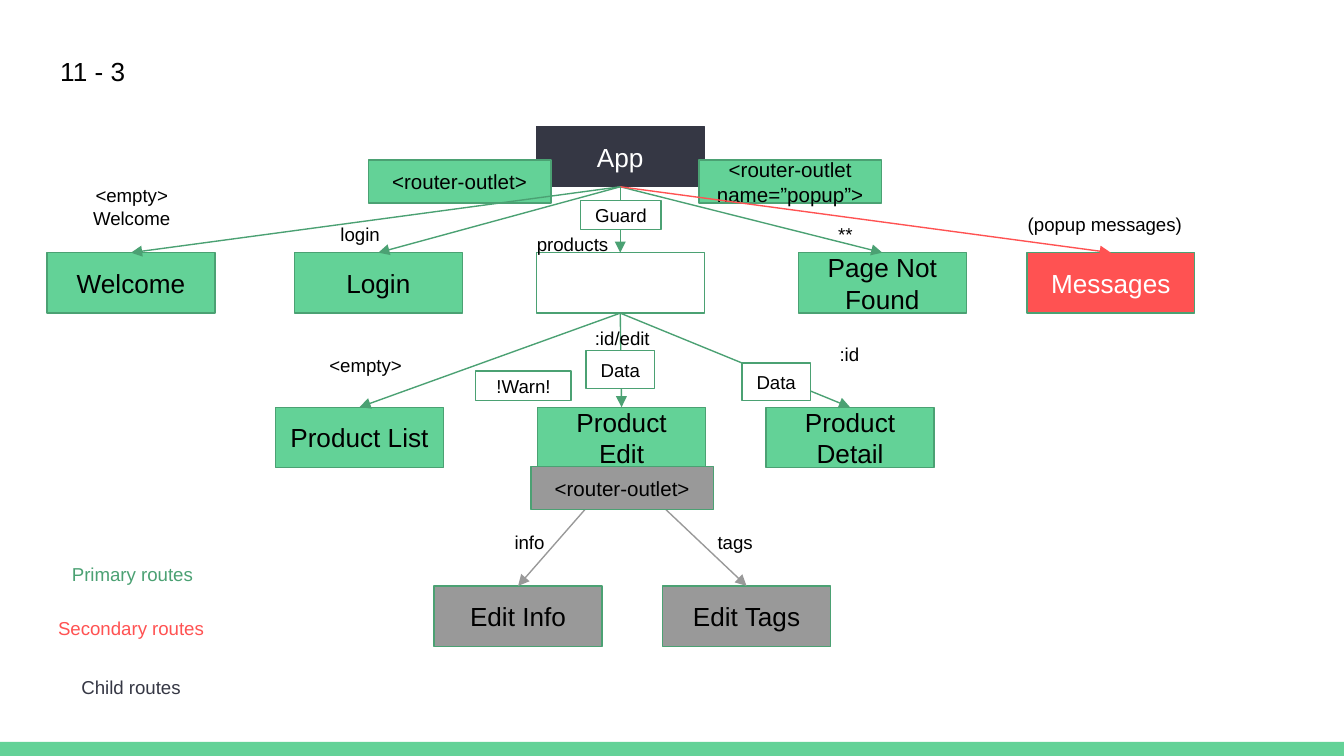
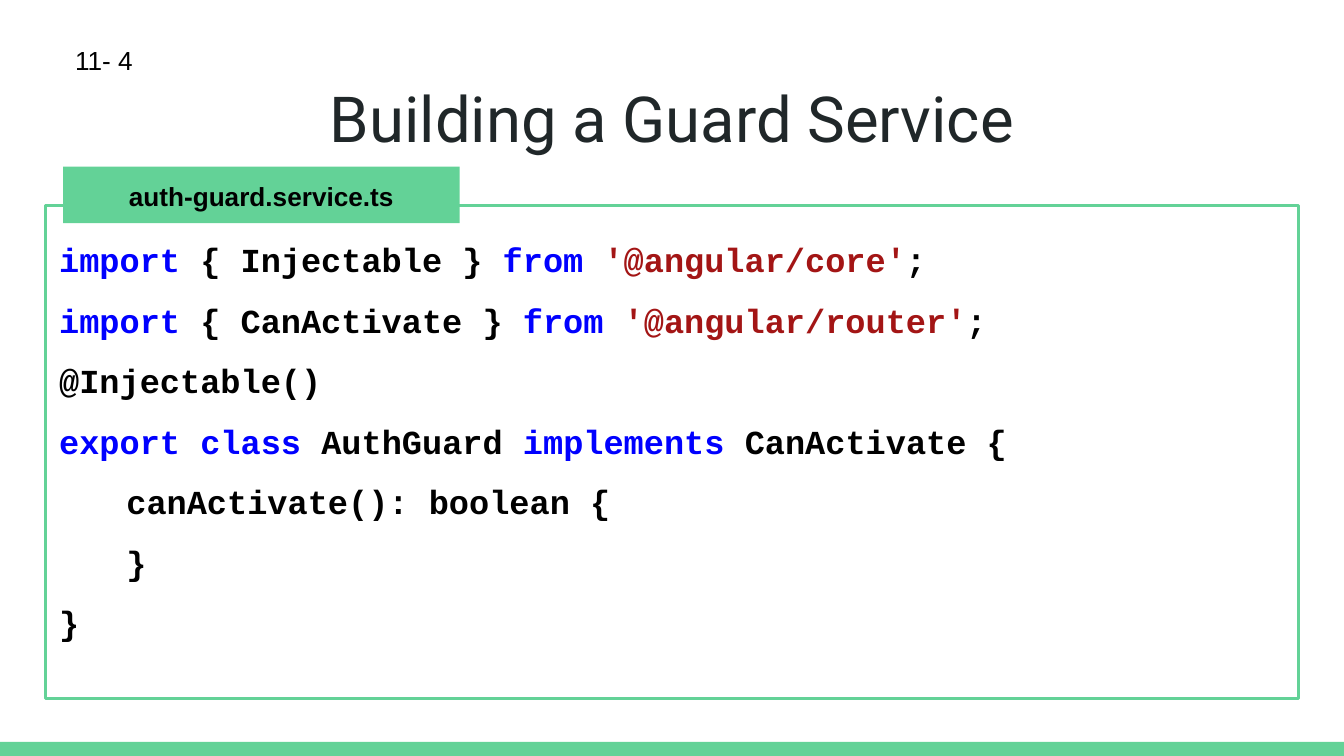
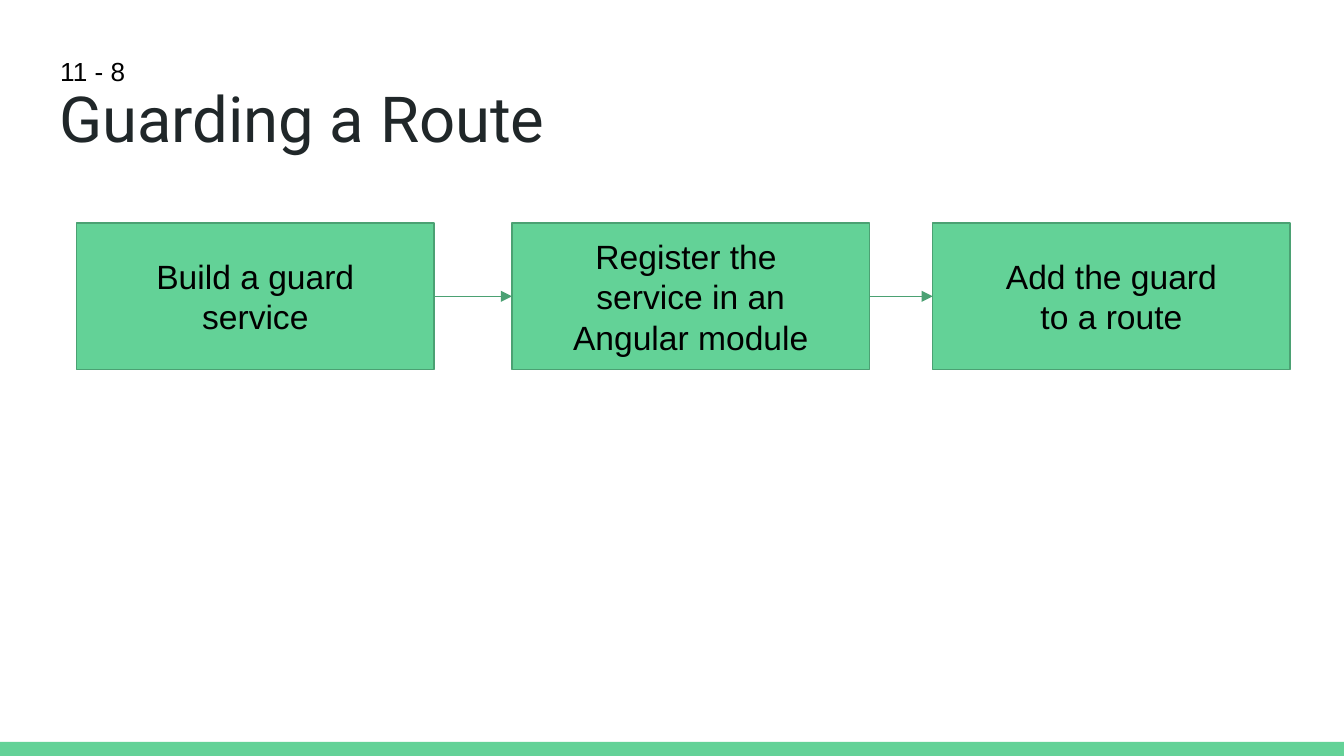
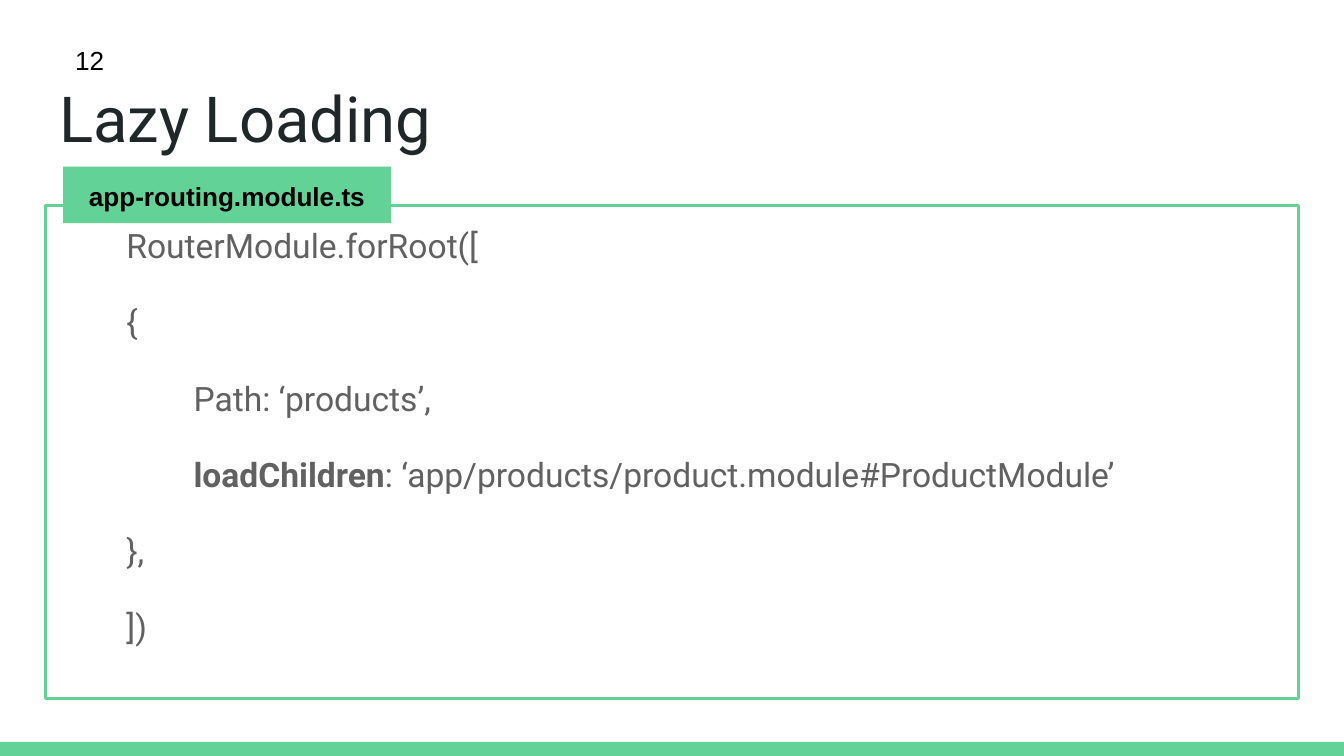
import lxml.etree
import pptx
import pptx.dml.color
import pptx.enum.shapes
import pptx.enum.text
import pptx.oxml.ns
import pptx.util

Inches = pptx.util.Inches
Pt = pptx.util.Pt
RGBColor = pptx.dml.color.RGBColor
ALIGN = pptx.enum.text.PP_ALIGN
ANCHOR = pptx.enum.text.MSO_ANCHOR
qn = pptx.oxml.ns.qn

GREEN = RGBColor(0x63, 0xD2, 0x97)
DARK_GREEN = RGBColor(0x4B, 0xA1, 0x73)
RED = RGBColor(0xFF, 0x52, 0x52)
NAVY = RGBColor(0x35, 0x37, 0x44)
GRAY = RGBColor(0x99, 0x99, 0x99)
INK = RGBColor(0x20, 0x27, 0x29)
BODY_GRAY = RGBColor(0x61, 0x61, 0x61)
BLACK = RGBColor(0, 0, 0)
WHITE = RGBColor(0xFF, 0xFF, 0xFF)
KEYWORD = RGBColor(0, 0, 0xFF)
STRING = RGBColor(0xA3, 0x15, 0x15)

LAYOUT_BODY, LAYOUT_TITLE, LAYOUT_BLANK = 1, 5, 6
TOP, BOTTOM, LEFT, RIGHT = 0, 2, 1, 3

NODE_W, NODE_H = 1.25, 0.45
OUTLET_W, OUTLET_H = 1.36, 0.32
LABEL_W = 0.84


class Deck:
    def __init__(self):
        self.prs = pptx.Presentation()
        self.prs.slide_width, self.prs.slide_height = Inches(10), Inches(5.625)
        self.slide = None

    def new_slide(self, layout):
        first = self.slide is None
        self.slide = self.prs.slides.add_slide(self.prs.slide_layouts[layout])
        if first:
            self.add_master_band()

    def add_master_band(self):
        """Draw the bottom band, then hand it to the master for all slides."""
        band = self.box(0, 5.52, 10, 0.11, line=None)
        self.prs.slide_master.shapes.element.insert(2, band.element)

    def place(self, sp, x, y, w, h):
        sp.left, sp.top, sp.width, sp.height = map(Inches, (x, y, w, h))

    def frame(self, sp, anchor=ANCHOR.TOP):
        tf = sp.text_frame
        values = {"word_wrap": True, "vertical_anchor": anchor,
                  "auto_size": pptx.enum.text.MSO_AUTO_SIZE.NONE}
        for side in ("left", "top", "right", "bottom"):
            values["margin_" + side] = Inches(0.1)
        for name, value in values.items():
            setattr(tf, name, value)
        return tf

    def fill_text(self, tf, lines, size, font="Arial", color=BLACK, bold=False,
                  align=ALIGN.LEFT, plain=False, **spacing):
        """Fill a frame; a line is text or a list of (text, run changes)."""
        for i, line in enumerate(lines):
            p = tf.paragraphs[0] if i == 0 else tf.add_paragraph()
            if plain:
                self.remove_bullet(p)
            p.alignment = align
            for name, value in spacing.items():
                setattr(p, name, value)
            if i == 0:
                p.space_before = Pt(0)
            for text, changes in [(line, {})] if isinstance(line, str) else line:
                r = p.add_run()
                r.text = text
                style = {"size": Pt(size), "name": font, "bold": bold, "color": color, **changes}
                r.font.color.rgb = style.pop("color")
                for name, value in style.items():
                    setattr(r.font, name, value)

    def remove_bullet(self, p):
        pPr = p._p.get_or_add_pPr()
        self.indent(p, 0, 0)
        lxml.etree.SubElement(pPr, qn("a:buNone"))

    def indent(self, p, margin, first):
        pPr = p._p.get_or_add_pPr()
        pPr.set("marL", str(Inches(margin)))
        pPr.set("indent", str(Inches(first)))

    def title(self, text, align=ALIGN.LEFT):
        sp = self.slide.shapes.title
        self.place(sp, 0.34, 0.49, 9.32, 0.63)
        self.fill_text(self.frame(sp), [text], 34, "Roboto", INK, align=align)

    def code_body(self, lines, **style):
        sp = self.slide.placeholders[1]
        self.place(sp, 0.34, 1.53, 9.32, 3.67)
        sp.line.color.rgb, sp.line.width = GREEN, Pt(1.5)
        tf = self.frame(sp)
        self.fill_text(tf, lines, 18, plain=True, **style)
        return tf.paragraphs

    def box(self, x, y, w, h, text="", size=14, fill=GREEN, line=DARK_GREEN,
            color=BLACK, bold=False, anchor=ANCHOR.MIDDLE):
        sp = self.slide.shapes.add_shape(
            pptx.enum.shapes.MSO_SHAPE.RECTANGLE, *map(Inches, (x, y, w, h)))
        sp.shadow.inherit = False
        if fill is None:
            sp.fill.background()
        else:
            sp.fill.solid()
            sp.fill.fore_color.rgb = fill
        if line is None:
            sp.line.fill.background()
        else:
            sp.line.color.rgb, sp.line.width = line, Pt(0.75)
        if text:
            self.fill_text(self.frame(sp, anchor), text.split("\n"), size,
                           color=color, bold=bold, align=ALIGN.CENTER)
        return sp

    def node(self, x, y, text="", **style):
        return self.box(x, y, NODE_W, NODE_H, text, **style)

    def outlet(self, x, y, text="<router-outlet>", **style):
        return self.box(x, y, OUTLET_W, OUTLET_H, text, size=11, **style)

    def tag(self, x, y, w, h, text):
        return self.box(x, y, w, h, text, size=10, fill=WHITE)

    def file_tab(self, w, name):
        self.box(0.47, 1.24, w, 0.42, name, line=None, bold=True, anchor=ANCHOR.TOP)

    def label(self, x, y, w, h, text, size=10, color=BLACK, align=ALIGN.CENTER):
        sp = self.slide.shapes.add_textbox(*map(Inches, (x, y, w, h)))
        self.fill_text(self.frame(sp), text.split("\n"), size, color=color, align=align)

    def number(self, x, y, w, h, text):
        self.label(x, y, w, h, text, size=14, align=ALIGN.LEFT)

    def arrow(self, start, end, color=DARK_GREEN, sides=(BOTTOM, TOP)):
        c = self.slide.shapes.add_connector(
            pptx.enum.shapes.MSO_CONNECTOR.STRAIGHT, 0, 0, 0, 0)
        c.begin_connect(start, sides[0])
        c.end_connect(end, sides[1])
        c.line.color.rgb, c.line.width = color, Pt(0.75)
        lxml.etree.SubElement(c.line._get_or_add_ln(), qn("a:tailEnd"), type="triangle")
        lxml.etree.SubElement(c._element.spPr, qn("a:effectLst"))


def route_map(deck):
    deck.new_slide(LAYOUT_BLANK)
    deck.number(0.35, 0.31, 0.94, 0.65, "11 - 3")

    app = deck.node(3.99, 0.94, "App", fill=NAVY, line=NAVY, color=WHITE)
    page_y, product_y, edit_y = 1.88, 3.03, 4.36
    welcome = deck.node(0.35, page_y, "Welcome")
    login = deck.node(2.19, page_y, "Login")
    products = deck.node(3.99, page_y, fill=None)
    not_found = deck.node(5.94, page_y, "Page Not\nFound")
    messages = deck.node(7.64, page_y, "Messages", fill=RED, color=WHITE)
    product_list, product_edit, product_detail = [
        deck.node(x, product_y, text) for x, text in
        ((2.05, "Product List"), (4, "Product Edit"), (5.7, "Product Detail"))]
    edit_info, edit_tags = [
        deck.node(x, edit_y, text, fill=GRAY) for x, text in
        ((3.23, "Edit Info"), (4.93, "Edit Tags"))]

    for child in (edit_tags, edit_info):
        deck.arrow(product_edit, child, GRAY)
    deck.outlet(3.95, 3.47, fill=GRAY)

    for child in (product_list, product_edit, product_detail):
        deck.arrow(products, child)
    for x, y in ((4.36, 2.61), (5.52, 2.7)):
        deck.tag(x, y, 0.51, 0.28, "Data")

    deck.outlet(2.74, 1.19)
    deck.outlet(5.2, 1.19, "<router-outlet\nname=”popup”>")
    for page in (welcome, login, not_found):
        deck.arrow(app, page)
    deck.arrow(app, messages, RED)
    deck.arrow(app, products)

    for x, y, text in (
            (0.56, 1.27, "<empty>\nWelcome"), (2.26, 1.56, "login"),
            (3.84, 1.63, "products"), (5.87, 1.56, "**"),
            (2.3, 2.53, "<empty>"), (4.21, 2.33, ":id/edit"), (5.9, 2.45, ":id"),
            (3.52, 3.85, "info"), (5.05, 3.85, "tags")):
        deck.label(x, y, LABEL_W, NODE_H, text)
    deck.label(7.45, 1.48, 1.54, NODE_H, "(popup messages)")

    for x, y, text, color in ((0.27, 4.09, "Primary routes", DARK_GREEN),
                              (0.26, 4.49, "Secondary routes", RED),
                              (0.26, 4.93, "Child routes", NAVY)):
        deck.label(x, y, 1.43, NODE_H, text, color=color)

    deck.tag(4.32, 1.49, 0.6, 0.22, "Guard")
    deck.tag(3.54, 2.76, 0.71, 0.22, "!Warn!")


def guard_service(deck):
    deck.new_slide(LAYOUT_BODY)
    deck.title("Building a Guard Service", ALIGN.CENTER)
    plain, keyword, string = {}, {"color": KEYWORD}, {"color": STRING}
    imports = [
        [("import", keyword), (f" {{ {name} }} ", plain), ("from ", keyword),
         (f"'{module}'", string), (";", plain)]
        for name, module in (("Injectable", "@angular/core"),
                             ("CanActivate", "@angular/router"))]
    paragraphs = deck.code_body(imports + [
        "@Injectable()",
        [("export class", keyword), (" AuthGuard ", plain),
         ("implements", keyword), (" CanActivate {", plain)],
        "\tcanActivate(): boolean {",
        "}",
        "}",
    ], font="Courier New", bold=True, line_spacing=1.5,
        space_before=Pt(0), space_after=Pt(0))
    deck.indent(paragraphs[5], 0, 0.5)
    deck.number(0.46, 0.23, 0.68, 0.65, "11- 4")
    deck.file_tab(2.95, "auth-guard.service.ts")


def guarding_steps(deck):
    deck.new_slide(LAYOUT_TITLE)
    deck.title("Guarding a Route")
    deck.number(0.35, 0.31, 0.94, 0.36, "11 - 8")
    steps = [deck.box(x, 1.66, 2.66, 1.09, text, size=18) for x, text in (
        (0.57, "Build a guard\nservice"),
        (3.81, "Register the \nservice in an\nAngular module"),
        (6.94, "Add the guard\nto a route"))]
    for start, end in zip(steps, steps[1:]):
        deck.arrow(start, end, sides=(RIGHT, LEFT))


def lazy_loading(deck):
    deck.new_slide(LAYOUT_BODY)
    deck.title("Lazy Loading")
    paragraphs = deck.code_body([
        "RouterModule.forRoot([",
        "{",
        "\tPath: ‘products’,",
        [("\t", {}), ("loadChildren", {"bold": True}),
         (": ‘app/products/product.module#ProductModule’", {})],
        "},",
        "])",
    ], font="Roboto", color=BODY_GRAY, line_spacing=1.15,
        space_before=Pt(16), space_after=Pt(0))
    for p in paragraphs:
        deck.indent(p, 0.5, 0)
    paragraphs[-1].space_after = Pt(16)
    deck.number(0.46, 0.23, 5.61, 0.65, "12")
    deck.file_tab(2.44, "app-routing.module.ts")


def main():
    deck = Deck()
    for build in (route_map, guard_service, guarding_steps, lazy_loading):
        build(deck)
    deck.prs.save("out.pptx")


if __name__ == "__main__":
    main()
